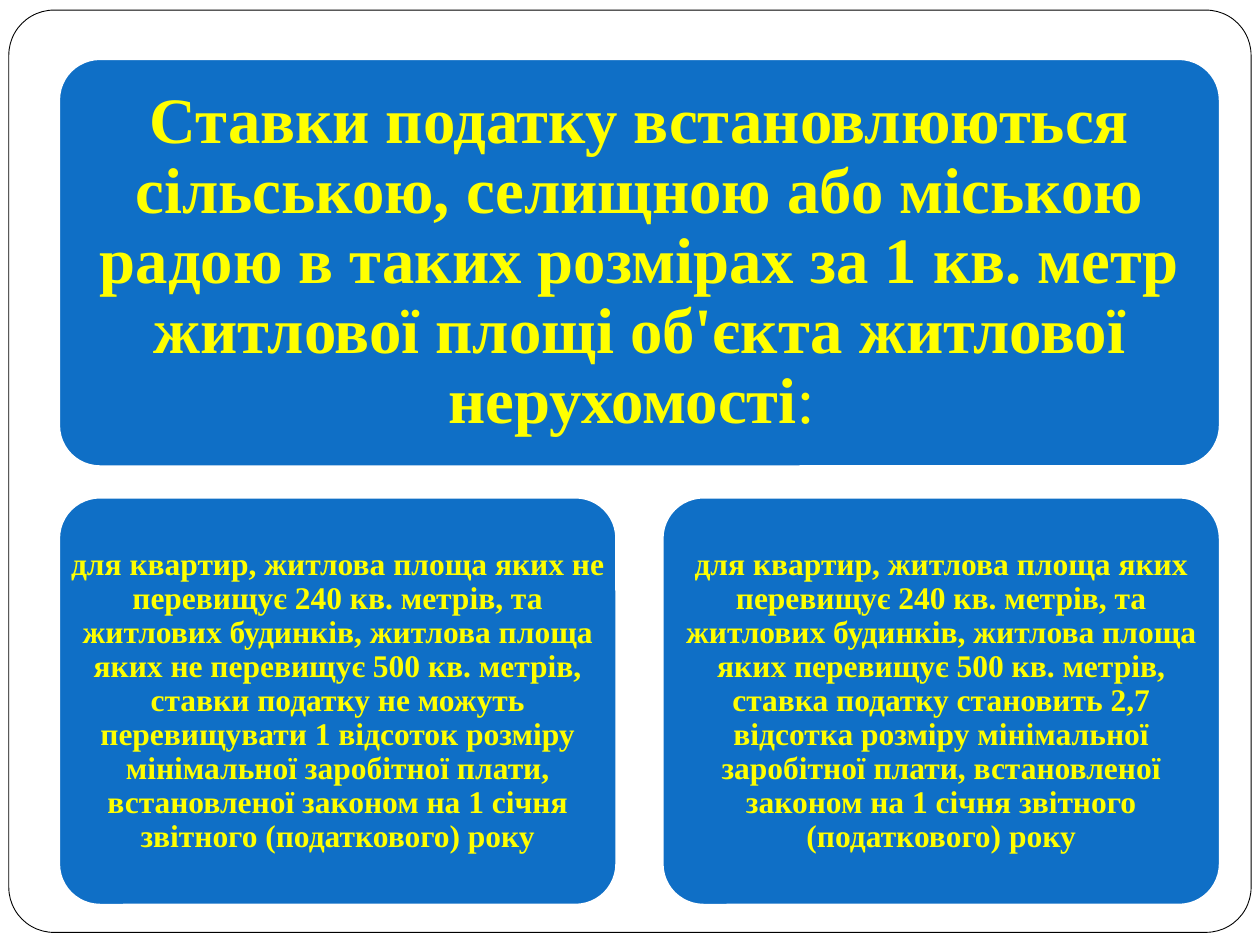
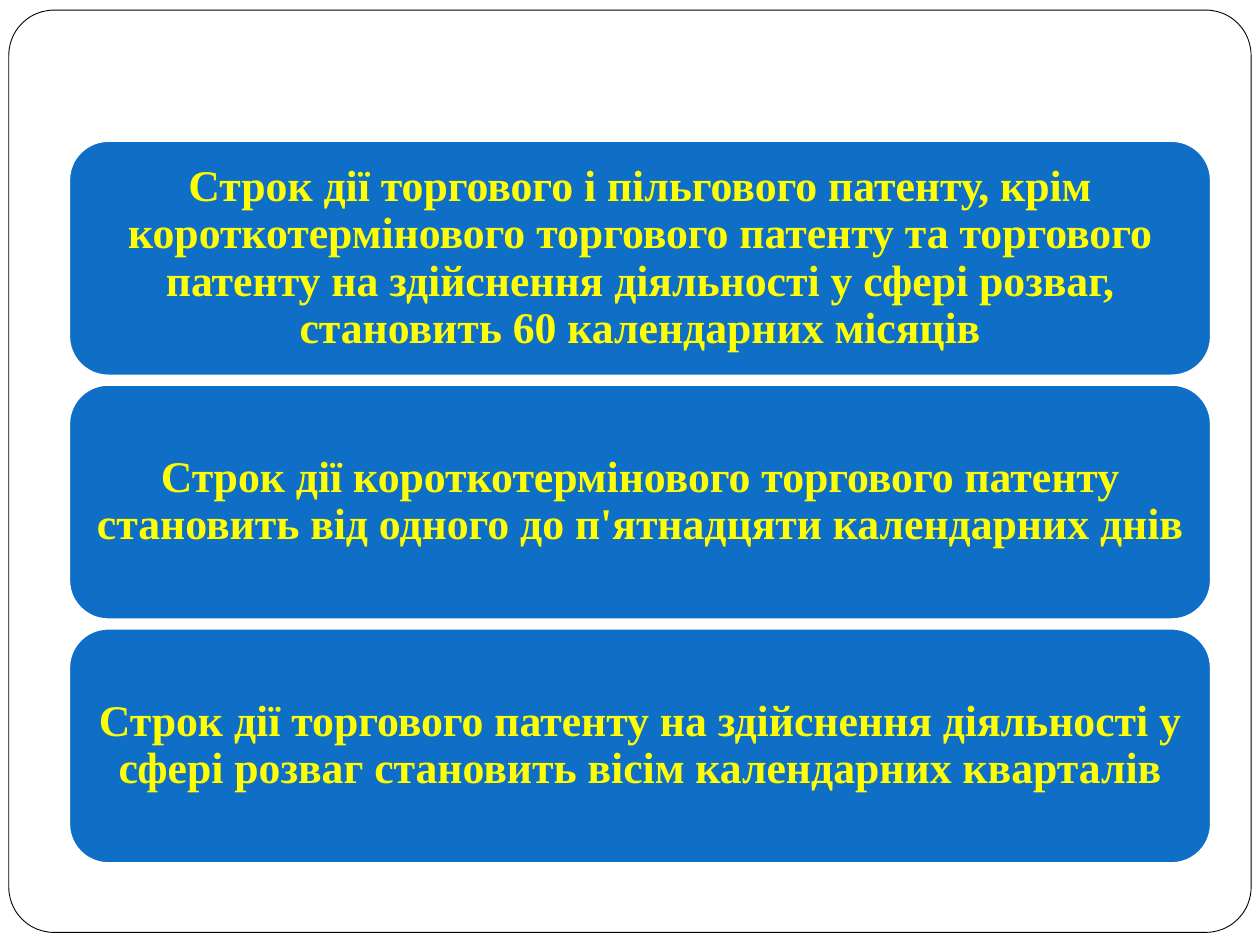
from pptx import Presentation
from pptx.dml.color import RGBColor
from pptx.enum.shapes import MSO_SHAPE
from pptx.enum.text import MSO_ANCHOR, PP_ALIGN
from pptx.util import Inches, Pt

WHITE, BLACK, BLUE, YELLOW = "FFFFFF", "000000", "0F6FC6", "FFFF00"
FONT = "Times New Roman"


def rounded_panel(slide, left, top, width, height, corner, fill, line, line_width):
    panel = slide.shapes.add_shape(MSO_SHAPE.ROUNDED_RECTANGLE, Inches(left),
                                   Inches(top), Inches(width), Inches(height))
    panel.adjustments[0] = corner
    panel.shadow.inherit = False
    panel.fill.solid()
    panel.fill.fore_color.rgb = RGBColor.from_string(fill)
    panel.line.color.rgb = RGBColor.from_string(line)
    panel.line.width = Pt(line_width)


def text_card(slide, left, top, width, height, corner, inset, size, runs):
    rounded_panel(slide, left, top, width, height, corner, BLUE, WHITE, 1)
    # The text uses the full card width, so it sits in its own box
    label = slide.shapes.add_textbox(Inches(left), Inches(top),
                                     Inches(width), Inches(height))
    frame = label.text_frame
    frame.word_wrap = True
    frame.vertical_anchor = MSO_ANCHOR.MIDDLE
    frame.margin_left = frame.margin_right = Inches(inset)
    frame.margin_top = frame.margin_bottom = Inches(inset)
    paragraph = frame.paragraphs[0]
    paragraph.alignment = PP_ALIGN.CENTER
    paragraph.line_spacing = 0.9
    for text, bold in runs:
        run = paragraph.add_run()
        run.text = text
        run.font.name = FONT
        run.font.size = Pt(size)
        run.font.bold = bold
        run.font.color.rgb = RGBColor.from_string(YELLOW)


presentation = Presentation()
presentation.slide_width = Inches(10)
presentation.slide_height = Inches(7.5)

# Both slides share the thin rounded frame
rates_slide, terms_slide = [
    presentation.slides.add_slide(presentation.slide_layouts[6]) for _ in range(2)
]
for slide in (rates_slide, terms_slide):
    rounded_panel(slide, 0.07, 0.08, 9.86, 7.32, 0.049, WHITE, BLACK, 0.5)

# Slide 1: tax rates, a heading card above two cases
rates_left, rates_top, rates_width, rates_height = 0.47, 0.47, 9.21, 3.23
case_width, case_gap, row_gap = 4.42, 0.37, 0.25
rates_heading = [
    ("Ставки податку встановлюються сільською, селищною або міською радою "
     "в таких розмірах за 1 кв. метр житлової площі об'єкта житлової "
     "нерухомості", True),
    (": ", False),
]
text_card(rates_slide, rates_left, rates_top, rates_width, rates_height,
          0.1, 0.15, 37, rates_heading)

rate_cases = [
    "для квартир, житлова площа яких не перевищує 240 кв. метрів, та житлових "
    "будинків, житлова площа яких не перевищує 500 кв. метрів, ставки податку "
    "не можуть перевищувати 1 відсоток розміру мінімальної заробітної плати, "
    "встановленої законом на 1 січня звітного (податкового) року",
    "для квартир, житлова площа яких перевищує 240 кв. метрів, та житлових "
    "будинків, житлова площа яких перевищує 500 кв. метрів, ставка податку "
    "становить 2,7 відсотка розміру мінімальної заробітної плати, "
    "встановленої законом на 1 січня звітного (податкового) року",
]
for column, case in enumerate(rate_cases):
    text_card(rates_slide, rates_left + column * (case_width + case_gap),
              rates_top + rates_height + row_gap, case_width, rates_height,
              0.1, 0.07, 18, [(case, True)])

# Slide 2: patent terms, three stacked cards
terms_top, term_height, term_gap = 1.12, 1.86, 0.075
patent_terms = [
    "Строк дії торгового і пільгового патенту, крім короткотермінового "
    "торгового патенту та торгового патенту на здійснення діяльності у сфері "
    "розваг, становить 60 календарних місяців",
    "Строк дії короткотермінового торгового патенту становить від одного до "
    "п'ятнадцяти календарних днів",
    "Строк дії торгового патенту на здійснення діяльності у сфері розваг "
    "становить вісім календарних кварталів",
]
for row, term in enumerate(patent_terms):
    text_card(terms_slide, 0.55, terms_top + row * (term_height + term_gap),
              9.06, term_height, 1 / 6, 0.1, 25, [(term, True)])

presentation.save("out.pptx")
